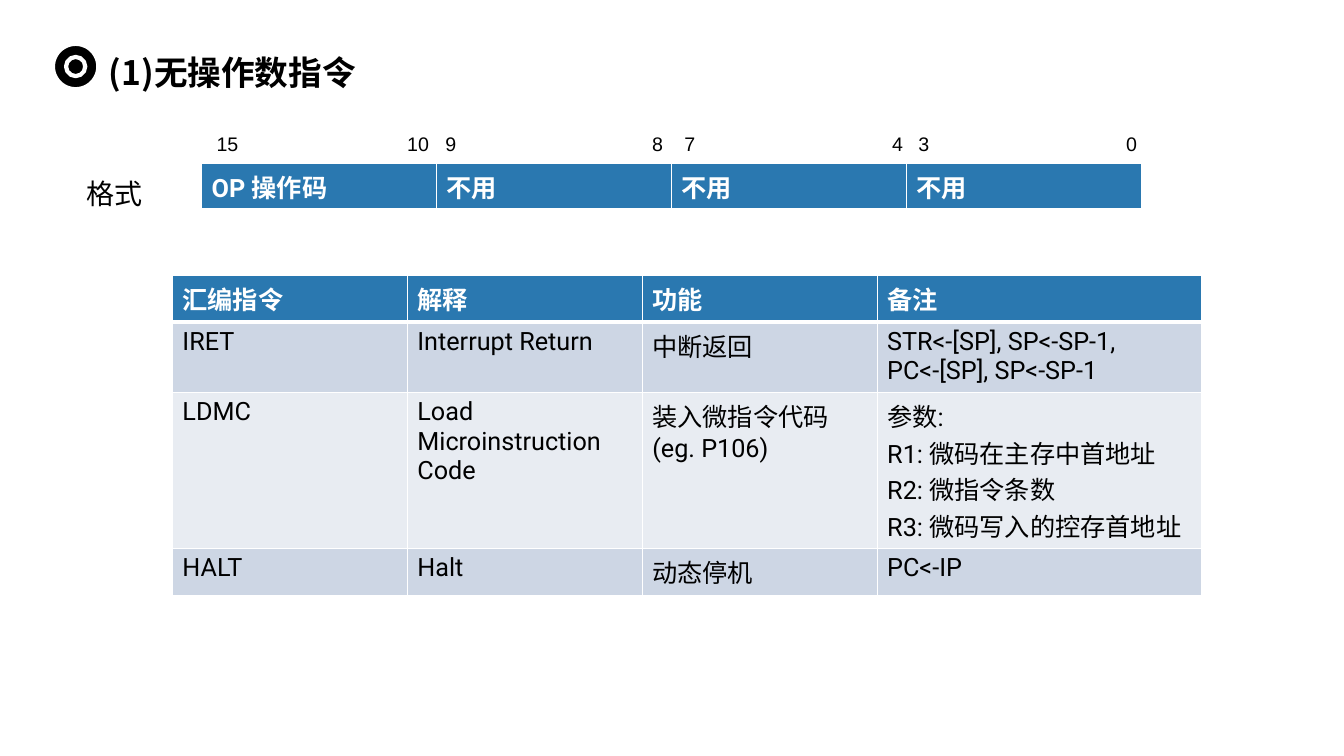
from lxml import etree
from pptx import Presentation
from pptx.dml.color import RGBColor
from pptx.enum.shapes import MSO_SHAPE
from pptx.enum.text import MSO_ANCHOR, MSO_AUTO_SIZE, PP_ALIGN
from pptx.oxml.ns import qn
from pptx.util import Pt

EMU_PER_PX = 9144
OVAL = MSO_SHAPE.OVAL
MIDDLE = MSO_ANCHOR.MIDDLE
NO_AUTOFIT = MSO_AUTO_SIZE.NONE
LEFT = PP_ALIGN.LEFT

BLACK = RGBColor(0x00, 0x00, 0x00)
WHITE = RGBColor(0xFF, 0xFF, 0xFF)
HEADER_BLUE = RGBColor(0x2A, 0x78, 0xB0)
BAND_DARK = RGBColor(0xCD, 0xD6, 0xE4)
BAND_LIGHT = RGBColor(0xE8, 0xEC, 0xF2)

CHINESE_FONT = "Noto Sans CJK SC"
TABLE_FONT = "Roboto"
LABEL_FONT = "Arial"

FORMAT_FIELDS = [["OP 操作码", "不用", "不用", "不用"]]
BIT_NUMBERS = "15\t10\t9\t8\t7\t4\t3\t0"
BIT_TABS = [189, 227, 432, 464, 670, 696, 902]
INSTRUCTIONS = [
    ["汇编指令", "解释", "功能", "备注"],
    ["IRET", "Interrupt Return", "中断返回",
     "STR<-[SP], SP<-SP-1,\nPC<-[SP], SP<-SP-1"],
    ["LDMC", "Load Microinstruction Code", "装入微指令代码\n(eg. P106)",
     "参数:\nR1: 微码在主存中首地址\nR2: 微指令条数\nR3: 微码写入的控存首地址"],
    ["HALT", "Halt", "动态停机", "PC<-IP"],
]


def px(length):
    return length * EMU_PER_PX


class SlideBuilder:
    def __init__(self, presentation):
        self.slide = presentation.slides.add_slide(presentation.slide_layouts[5])
        self.shapes = self.slide.shapes

    def format_text(self, text_frame, font_name, size, color=BLACK, bold=False, spacing=None):
        for paragraph in text_frame.paragraphs:
            paragraph.alignment = LEFT
            if spacing:
                paragraph.line_spacing = spacing
            font = paragraph.font
            font.name = font_name
            font.size = Pt(size)
            font.bold = bold
            font.color.rgb = color
            properties = paragraph._p.pPr.find(qn("a:defRPr"))
            etree.SubElement(properties, qn("a:ea"), typeface=CHINESE_FONT)

    def title(self, text, left, top, width, height):
        shape = self.shapes.title
        shape.left, shape.top, shape.width, shape.height = map(px, (left, top, width, height))
        text_frame = shape.text_frame
        text_frame.text = text
        text_frame.auto_size = NO_AUTOFIT
        text_frame.vertical_anchor = MIDDLE
        self.format_text(text_frame, CHINESE_FONT, 24, bold=True, spacing=1.2)

    def target(self, center_x, center_y, diameters):
        group = self.shapes.add_group_shape()
        for diameter in diameters:
            circle = group.shapes.add_shape(
                OVAL, px(center_x) - px(diameter) // 2, px(center_y) - px(diameter) // 2,
                px(diameter), px(diameter))
            circle.shadow.inherit = False
            circle.fill.solid()
            circle.fill.fore_color.rgb = BLACK
            circle.line.color.rgb = WHITE
            circle.line.width = Pt(3)

    def label(self, text, left, top, width, height, size, wrap=True, tabs=()):
        text_frame = self.shapes.add_textbox(px(left), px(top), px(width), px(height)).text_frame
        text_frame.word_wrap = wrap
        text_frame.text = text
        if tabs:
            properties = text_frame.paragraphs[0]._p.get_or_add_pPr()
            tab_list = etree.SubElement(properties, qn("a:tabLst"))
            for position in tabs:
                etree.SubElement(tab_list, qn("a:tab"), pos=str(px(position)), algn="l")
        self.format_text(text_frame, LABEL_FONT, size, spacing=1.3)

    def cell_borders(self, cell, bottom_width):
        properties = cell._tc.get_or_add_tcPr()
        for side, width in (("L", 1), ("R", 1), ("T", 1), ("B", bottom_width)):
            line = etree.SubElement(properties, qn(f"a:ln{side}"), w=str(Pt(width)))
            fill = etree.SubElement(line, qn("a:solidFill"))
            etree.SubElement(fill, qn("a:srgbClr"), val=str(WHITE))

    def table(self, rows, left, top, column_widths, row_heights):
        table = self.shapes.add_table(
            len(rows), len(column_widths), px(left), px(top),
            px(sum(column_widths)), px(sum(row_heights))).table
        for column, width in zip(table.columns, column_widths):
            column.width = px(width)
        for row_index, texts in enumerate(rows):
            table.rows[row_index].height = px(row_heights[row_index])
            header = row_index == 0
            band = BAND_DARK if row_index % 2 else BAND_LIGHT
            for column_index, text in enumerate(texts):
                cell = table.cell(row_index, column_index)
                self.cell_borders(cell, 3 if header else 1)
                cell.fill.solid()
                cell.fill.fore_color.rgb = HEADER_BLUE if header else band
                cell.text_frame.text = text
                self.format_text(cell.text_frame, TABLE_FONT, 18,
                                 WHITE if header else BLACK, bold=header)


def main():
    presentation = Presentation()
    presentation.slide_width, presentation.slide_height = px(1333), px(750)
    builder = SlideBuilder(presentation)
    builder.title("(1)无操作数指令", 98, 32, 1207, 70)
    builder.target(75, 66, (45, 19))
    builder.table(FORMAT_FIELDS, 200, 162, [233] * 4, [42])
    builder.table(INSTRUCTIONS, 171, 273, [233] * 3 + [322], [45, 70, 155, 45])
    builder.label(BIT_NUMBERS, 205, 119, 947, 41, 14, tabs=BIT_TABS)
    builder.label("格式", 76, 160, 76, 54, 20, wrap=False)
    presentation.save("out.pptx")


if __name__ == "__main__":
    main()
